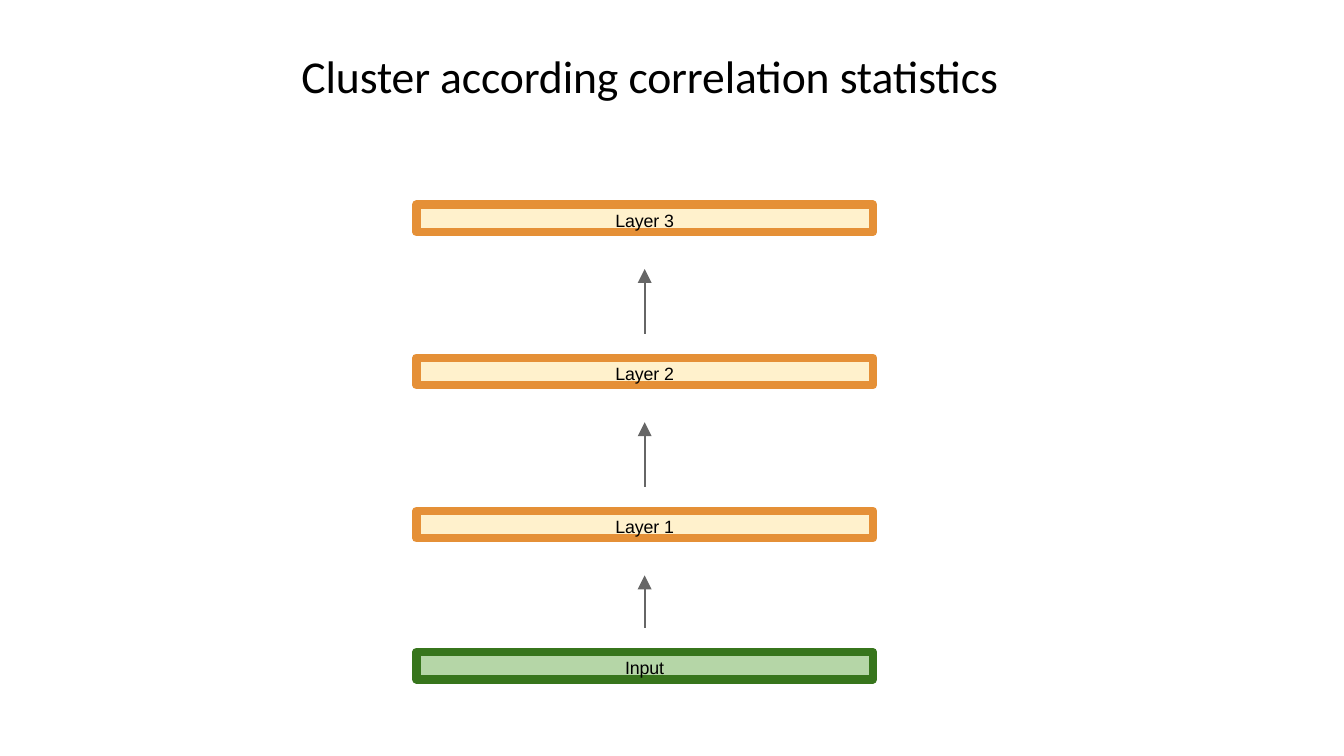
from dataclasses import dataclass

from lxml import etree
from pptx import Presentation
from pptx.dml.color import RGBColor
from pptx.enum import shapes, text
from pptx.oxml import ns
from pptx.util import Pt


@dataclass(frozen=True)
class Theme:
    """Colours, fonts and type sizes of the slide."""
    ink: str = "000000"
    arrow: str = "666666"
    layer_fill: str = "FFF1CC"
    layer_line: str = "E59037"
    input_fill: str = "B5D6A7"
    input_line: str = "37751C"
    title_font: str = "Calibri"
    label_font: str = "Arial"
    title_size: float = 32.6
    label_size: float = 12.7


@dataclass(frozen=True)
class Bar:
    """One level of the stack, with its top in points."""
    label: str
    top: float
    fill: str
    line: str


THEME = Theme()
BAR_LEFT, BAR_WIDTH, BAR_HEIGHT = 297.4, 326.2, 19.5
FIRST_TOP, LAYER_PITCH, INPUT_TOP = 146.2, 109.4, 465.8
TIP_OFFSET, TAIL_GAP = 46, 17.3


def rgb(value: str) -> RGBColor:
    """Turn a hex string into a colour."""
    return RGBColor.from_string(value)


def write(tf, words: str, font: str, size: float):
    """Fill a text frame with one paragraph and return it."""
    tf.margin_left = tf.margin_right = tf.margin_top = tf.margin_bottom = 0
    tf.word_wrap = True
    tf.auto_size = text.MSO_AUTO_SIZE.SHAPE_TO_FIT_TEXT
    p = tf.paragraphs[0]
    r = p.add_run()
    r.text = words
    r._r.get_or_add_rPr().set("spc", "-10")
    p.font.name, p.font.size = font, Pt(size)
    p.font.color.rgb = rgb(THEME.ink)
    return p


def add_title(s, words: str) -> None:
    """Place and format the title placeholder."""
    sp = s.shapes.title
    sp.left, sp.top, sp.width, sp.height = Pt(215.3), Pt(40.3), Pt(551.5), Pt(33.8)
    p = write(sp.text_frame, words, THEME.title_font, THEME.title_size)
    sp.text_frame.vertical_anchor = text.MSO_ANCHOR.BOTTOM
    p.alignment = text.PP_ALIGN.LEFT
    p.line_spacing = 0.9


def add_bar(s, bar: Bar) -> None:
    """Draw a labelled bar with a heavy outline."""
    sp = s.shapes.add_shape(shapes.MSO_SHAPE.RECTANGLE, Pt(BAR_LEFT), Pt(bar.top),
                            Pt(BAR_WIDTH), Pt(BAR_HEIGHT))
    sp.shadow.inherit = False
    sp.fill.solid()
    sp.fill.fore_color.rgb = rgb(bar.fill)
    sp.line.color.rgb = rgb(bar.line)
    sp.line.width = Pt(6)
    tf = sp.text_frame
    p = write(tf, bar.label, THEME.label_font, THEME.label_size)
    tf.margin_top = Pt(3.6)
    tf.vertical_anchor = text.MSO_ANCHOR.TOP
    p.alignment = text.PP_ALIGN.CENTER
    p.space_before = Pt(3.9)


def add_arrow(s, lower: Bar, upper: Bar) -> None:
    """Draw an upward arrow between two neighbouring bars."""
    x = Pt(BAR_LEFT + BAR_WIDTH / 2)
    c = s.shapes.add_connector(shapes.MSO_CONNECTOR.STRAIGHT, x, Pt(lower.top - TAIL_GAP),
                               x, Pt(upper.top + TIP_OFFSET))
    c.line.color.rgb = rgb(THEME.arrow)
    c.line.width = Pt(1.5)
    etree.SubElement(c.line._get_or_add_ln(), ns.qn("a:tailEnd"),
                     type="triangle", w="lg", len="lg")
    etree.SubElement(c._element.spPr, ns.qn("a:effectLst"))


def main() -> None:
    """Build and save the slide."""
    prs = Presentation()
    prs.slide_width, prs.slide_height = Pt(960), Pt(540)
    s = prs.slides.add_slide(prs.slide_layouts[5])
    add_title(s, "Cluster according correlation statistics")
    bars = [Bar(f"Layer {3 - i}", FIRST_TOP + i * LAYER_PITCH,
                THEME.layer_fill, THEME.layer_line) for i in range(3)]
    bars.append(Bar("Input", INPUT_TOP, THEME.input_fill, THEME.input_line))
    for bar in bars:
        add_bar(s, bar)
    for upper, lower in zip(bars, bars[1:]):
        add_arrow(s, lower, upper)
    prs.save("out.pptx")


main()
